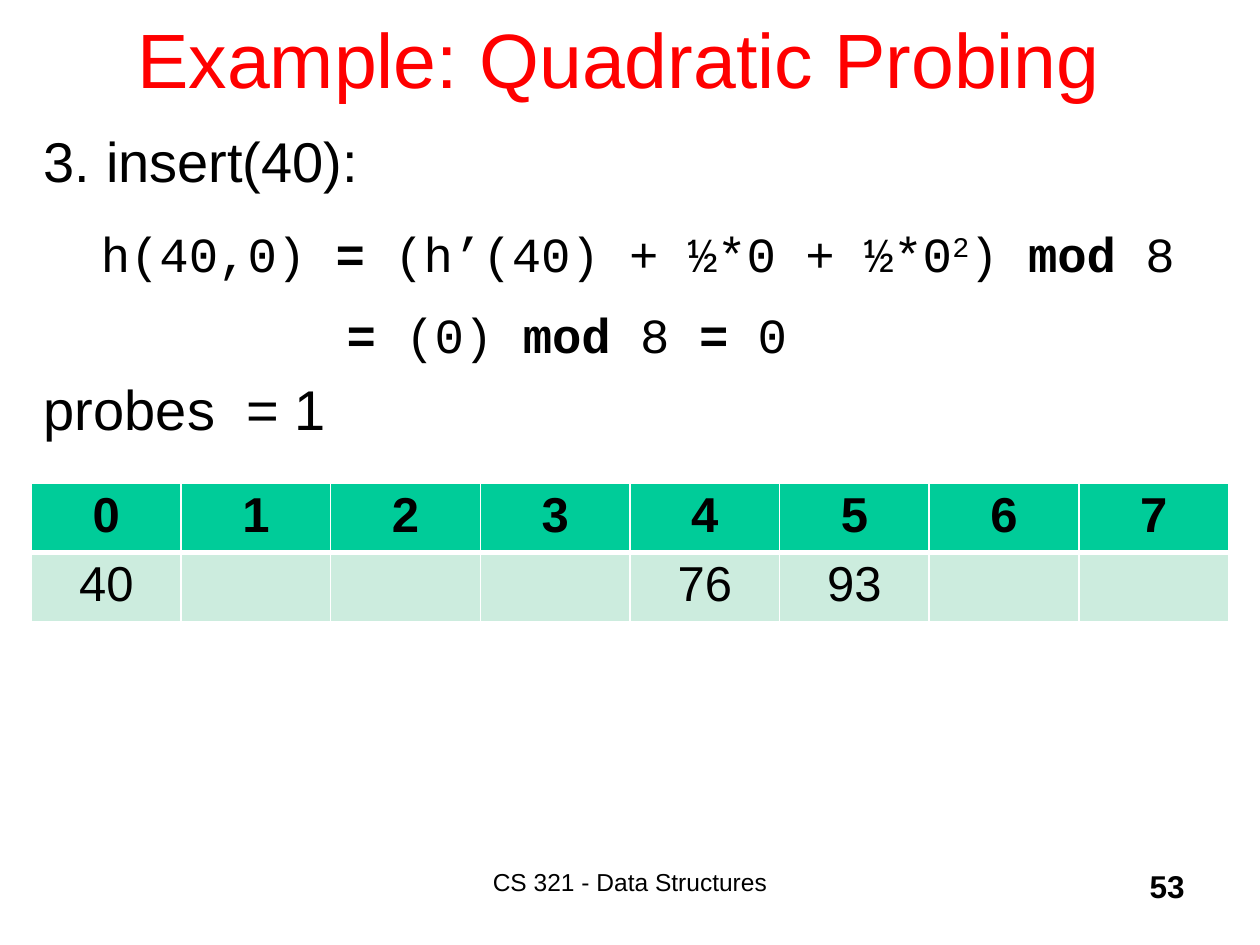
from lxml import etree
from pptx import Presentation
from pptx.dml.color import RGBColor
from pptx.enum import text as t
from pptx.oxml import ns
from pptx.util import Pt

BLACK, RED, WHITE = "000000", "FF0000", "FFFFFF"
HEAD, BODY = "00CC99", "CCECDE"
SANS, MONO = "Arial", "Courier New"
LEFT, MID, RIGHT = t.PP_ALIGN.LEFT, t.PP_ALIGN.CENTER, t.PP_ALIGN.RIGHT


def color(code):
    return RGBColor.from_string(code)


class Deck:
    def __init__(self):
        self.prs = Presentation()
        self.prs.slide_width, self.prs.slide_height = Pt(720), Pt(540)
        self.slide = self.prs.slides.add_slide(self.prs.slide_layouts[6])

    def box(self, left, top, width, height, anchor=t.MSO_ANCHOR.TOP):
        shape = self.slide.shapes.add_textbox(Pt(left), Pt(top), Pt(width), Pt(height))
        frame = shape.text_frame
        frame.word_wrap = True
        frame.vertical_anchor = anchor
        return frame

    def line(self, para, runs, size, font=SANS, align=LEFT, ink=BLACK,
             bold=None, indent=0, before=0):
        """Fill a paragraph; runs are (text, style) with style "", "b" or "sup"."""
        para.alignment = align
        para.space_before = Pt(before)
        if indent:
            para._p.get_or_add_pPr().set("marL", str(Pt(indent)))
        face = para.font
        face.name, face.size, face.bold = font, Pt(size), bold
        face.color.rgb = color(ink)
        for words, style in runs:
            run = para.add_run()
            run.text = words
            if style == "b":
                run.font.bold = True
            elif style == "sup":
                run._r.get_or_add_rPr().set("baseline", "30000")

    def label(self, words, place, size, **style):
        anchor = style.pop("anchor", t.MSO_ANCHOR.TOP)
        frame = self.box(*place, anchor)
        self.line(frame.paragraphs[0], [(words, "")], size, **style)

    def edge(self, cell, widths):
        props = cell._tc.get_or_add_tcPr()
        for spot, (side, width) in enumerate(widths.items()):
            rule = etree.Element(ns.qn(f"a:ln{side}"), w=str(Pt(width)))
            fill = etree.SubElement(rule, ns.qn("a:solidFill"))
            etree.SubElement(fill, ns.qn("a:srgbClr"), val=WHITE)
            props.insert(spot, rule)

    def table(self, rows, left, top, width, high):
        count = len(rows[0])
        grid = self.slide.shapes.add_table(
            len(rows), count, Pt(left), Pt(top), Pt(width), Pt(high * len(rows))).table
        grid.horz_banding = False
        for col in grid.columns:
            col.width = Pt(width / count)
        for r, row in enumerate(rows):
            head = r == 0
            grid.rows[r].height = Pt(high)
            for c, words in enumerate(row):
                cell = grid.cell(r, c)
                cell.margin_top = cell.margin_bottom = Pt(3)
                cell.fill.solid()
                cell.fill.fore_color.rgb = color(HEAD if head else BODY)
                runs = [(words, "")] if words else []
                self.line(cell.text_frame.paragraphs[0], runs, 28, align=MID, bold=head)
                self.edge(cell, {"L": 1, "R": 1, "T": 1 if head else 3,
                                 "B": 3 if head else 1})


def main():
    deck = Deck()

    # Title
    deck.label("Example: Quadratic Probing ", (54, -12, 612, 90), 44,
               align=MID, ink=RED, anchor=t.MSO_ANCHOR.MIDDLE)

    # Footer and page number
    deck.label("CS 321 - Data Structures", (222, 492, 276, 36), 14, align=MID)
    deck.label("53", (534, 492, 150, 36), 18, align=RIGHT, bold=True)

    # Hash table
    slots = [str(n) for n in range(8)]
    keys = {"0": "40", "4": "76", "5": "93"}
    deck.table([slots, [keys.get(s, "") for s in slots]], 18, 276, 684, 38.2)

    # Working of the insert
    steps = [
        ([("3. insert(40):", "")], 32, {}),
        ([("h(40,0) ", ""), ("=", "b"), (" (h’(40) + ½*0 + ½*0", ""), ("2", "sup"),
          (") ", ""), ("mod", "b"), (" 8", "")], 28,
         dict(font=MONO, align=MID, indent=9, before=16.8)),
        ([("=", "b"), (" (0) ", ""), ("mod", "b"), (" 8 ", ""), ("=", "b"), (" 0", "")], 28,
         dict(font=MONO, indent=173, before=12.9)),
        ([("probes  = 1", "")], 32, dict(before=6)),
    ]
    frame = deck.box(18, 69, 684, 189)
    for n, (runs, size, style) in enumerate(steps):
        para = frame.add_paragraph() if n else frame.paragraphs[0]
        deck.line(para, runs, size, **style)

    deck.prs.save("out.pptx")


if __name__ == "__main__":
    main()
